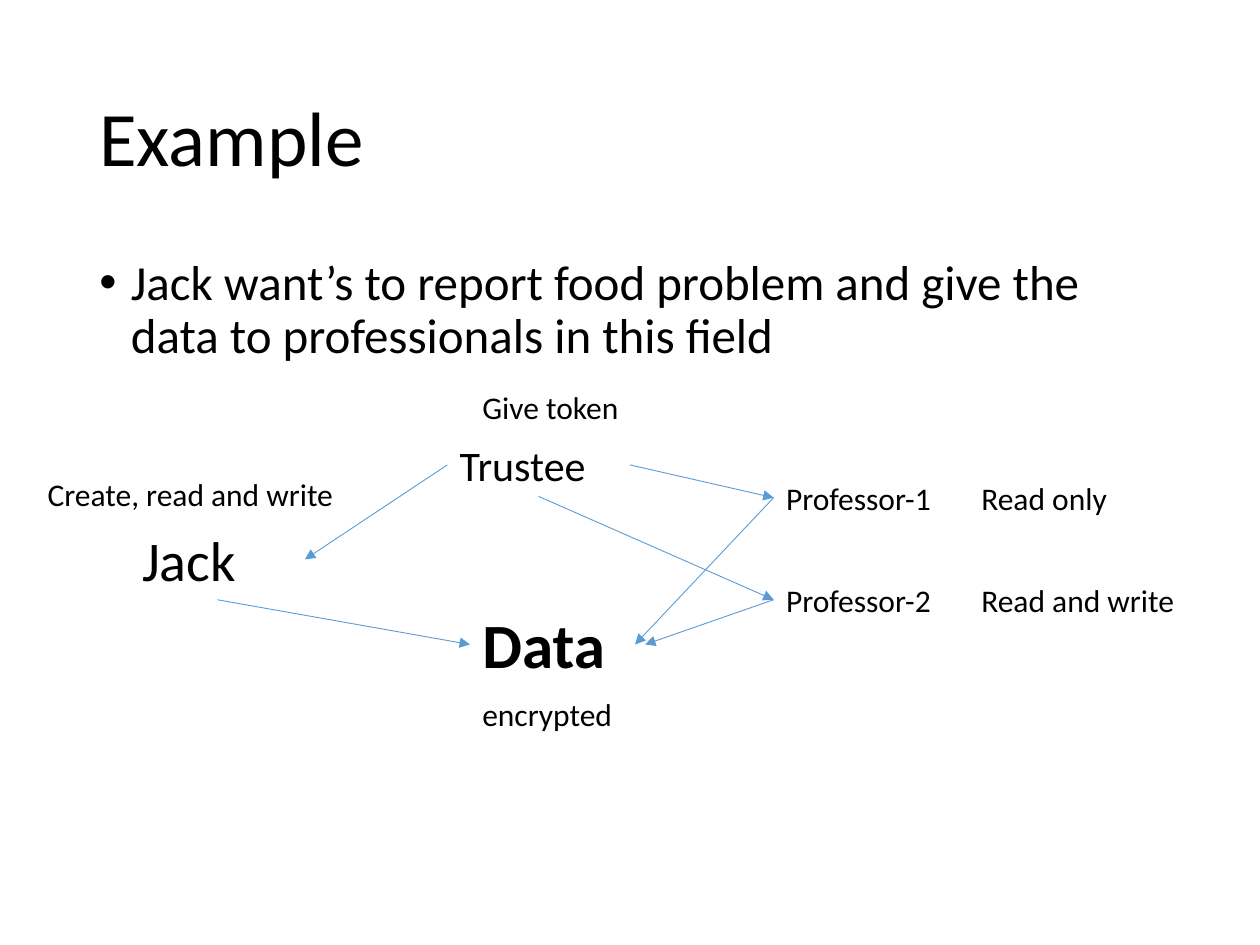
from lxml import etree
from pptx import Presentation
from pptx.dml.color import RGBColor
from pptx.enum.shapes import MSO_CONNECTOR
from pptx.enum.text import MSO_ANCHOR
from pptx.oxml.ns import qn
from pptx.util import Inches, Pt

STRAIGHT = MSO_CONNECTOR.STRAIGHT
MIDDLE = MSO_ANCHOR.MIDDLE
LEFT, BOTTOM, RIGHT = 1, 2, 3  # connection sites of a box

FONT = "Calibri"
COLORS = {"text": "000000", "arrow": "5B9BD5"}

TITLE = "Example"
BULLET = ("Jack want’s to report food problem and give the data "
          "to professionals in this field")

# Columns and rows shared by several labels
CENTER, PROFESSOR, RIGHTS = 3.73, 6.14, 7.69
ROW_1, ROW_2 = 3.75, 4.56

# text, left, top, width, height, size
ACTORS = [
    ("Trustee", 3.55, 3.44, 1.45, 0.5, 24),
    ("Jack", 1.03, 4.12, 1.39, 0.64, 32),
    ("Data", CENTER, 4.76, 1.31, 0.71, 36),
    ("Professor-1", PROFESSOR, ROW_1, 1.62, 0.4, 18),
    ("Professor-2", PROFESSOR, ROW_2, 1.62, 0.4, 18),
]
NOTES = [
    ("Read only", RIGHTS, ROW_1, 1.97, 0.4, 18),
    ("Read and write", RIGHTS, ROW_2, 1.97, 0.4, 18),
    ("encrypted", CENTER, 5.47, 1.27, 0.4, 18),
    ("Create, read and write", 0.28, 3.72, 2.52, 0.4, 18),
    ("Give token", CENTER, 3.03, 1.31, 0.4, 18),
]

# from actor, site, to actor, site, extra gap before the target
ARROWS = [
    ("Trustee", LEFT, "Jack", RIGHT, 0),
    ("Trustee", BOTTOM, "Professor-2", LEFT, 0),
    ("Trustee", RIGHT, "Professor-1", LEFT, 0),
    ("Jack", BOTTOM, "Data", LEFT, 0),
    ("Professor-1", LEFT, "Data", RIGHT, 0),
    ("Professor-2", LEFT, "Data", RIGHT, 0.08),
]


def add_text(slide, text, left, top, width, height, size):
    box = slide.shapes.add_textbox(
        Inches(left), Inches(top), Inches(width), Inches(height))
    box.text_frame.word_wrap = True
    para = box.text_frame.paragraphs[0]
    span = para.add_run()
    span.text = text
    span.font.name = FONT
    span.font.size = Pt(size)
    span.font.color.rgb = RGBColor.from_string(COLORS["text"])
    return box, para, span


def add_bullet(para, indent):
    props = para._p.get_or_add_pPr()
    props.set("marL", str(Inches(indent)))
    props.set("indent", str(-Inches(indent)))
    etree.SubElement(props, qn("a:buFont")).set("typeface", "Arial")
    etree.SubElement(props, qn("a:buChar")).set("char", "•")


def add_arrow(slide, source, source_site, target, target_site, gap):
    arrow = slide.shapes.add_connector(STRAIGHT, 0, 0, 0, 0)
    arrow.begin_connect(source, source_site)
    if gap:
        arrow.end_x = target.left + target.width + Inches(gap)
        arrow.end_y = target.top + target.height // 2
    else:
        arrow.end_connect(target, target_site)
    arrow.line.color.rgb = RGBColor.from_string(COLORS["arrow"])
    arrow.line.width = Pt(0.5)
    etree.SubElement(arrow.line._get_or_add_ln(), qn("a:tailEnd")).set("type", "triangle")
    etree.SubElement(arrow._element.spPr, qn("a:effectLst"))


def main():
    deck = Presentation()
    deck.slide_width, deck.slide_height = Inches(10), Inches(7.5)
    slide = deck.slides.add_slide(deck.slide_layouts[6])

    # Title and bullet
    box, para, _ = add_text(slide, TITLE, 0.69, 0.4, 8.62, 1.45, 44)
    box.text_frame.vertical_anchor = MIDDLE
    para.line_spacing = 0.9
    _, para, _ = add_text(slide, BULLET, 0.69, 2, 8.62, 4.76, 28)
    para.line_spacing = 0.9
    para.space_before = Pt(10)
    add_bullet(para, 0.25)

    # Actors, with the data emphasised
    actors = {}
    for actor in ACTORS:
        box, _, span = add_text(slide, *actor)
        actors[actor[0]] = box
        if actor[0] == "Data":
            span.font.bold = True

    # Token and data flows
    for source, source_site, target, target_site, gap in ARROWS:
        add_arrow(slide, actors[source], source_site,
                  actors[target], target_site, gap)

    # Access rights and notes
    for note in NOTES:
        add_text(slide, *note)

    deck.save("out.pptx")


if __name__ == "__main__":
    main()
